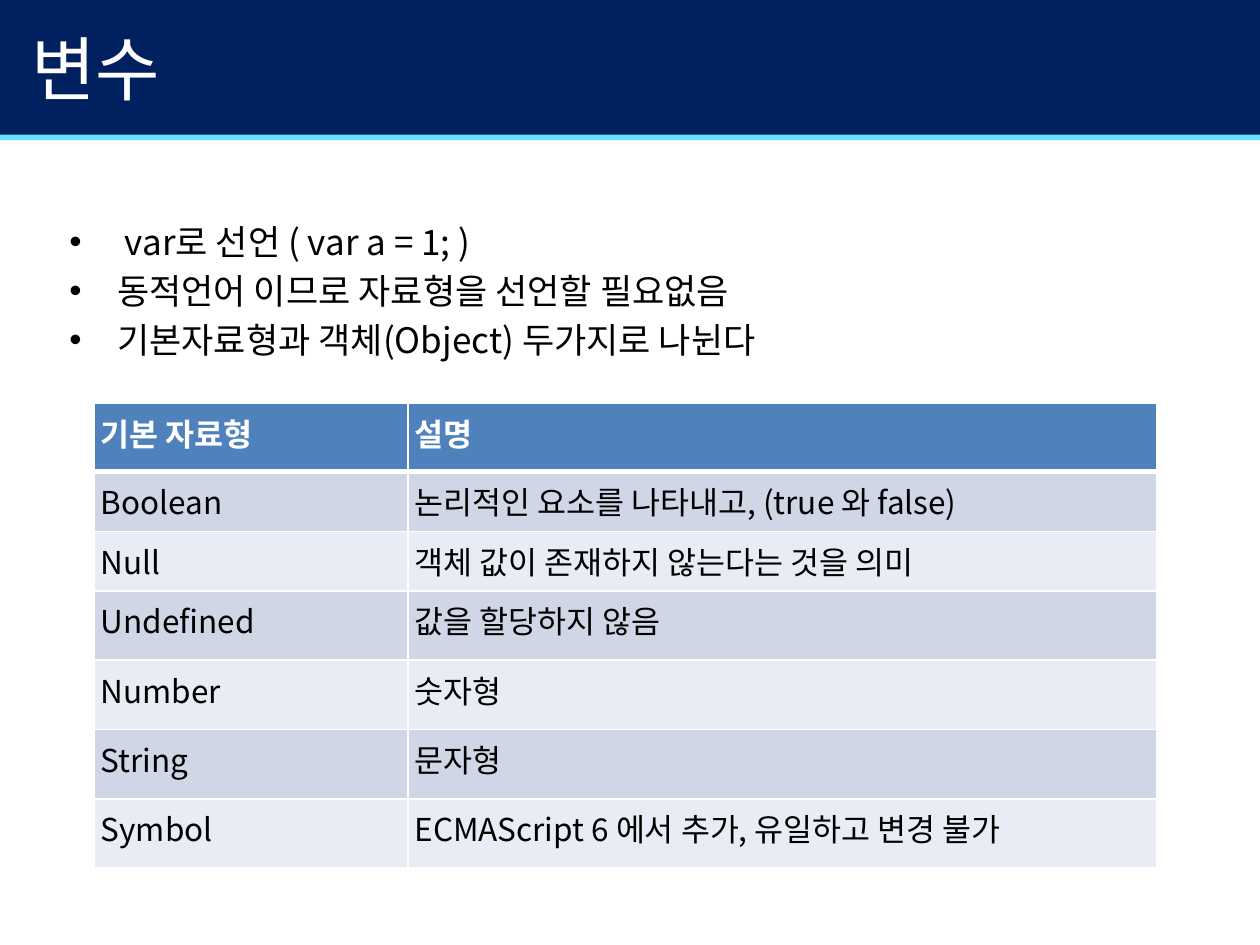
from lxml.etree import SubElement
from pptx import Presentation
from pptx.dml.color import RGBColor
from pptx.enum.shapes import MSO_SHAPE as Preset
from pptx.enum.text import MSO_ANCHOR as Anchor
from pptx.oxml.ns import qn
from pptx.util import Inches, Pt

WIDTH, HEIGHT = Inches(10), Inches(7.5)
FONT = "Noto Sans CJK KR"
INSET = Inches(0.05)
INDENT = Inches(0.38)

WHITE = RGBColor(0xFF, 0xFF, 0xFF)
BLACK = RGBColor(0, 0, 0)
NAVY = RGBColor(0x00, 0x20, 0x60)
CYAN = RGBColor(0x65, 0xE2, 0xFF)
HEADER_BLUE = RGBColor(0x4F, 0x81, 0xBD)
BANDS = RGBColor(0xCF, 0xD7, 0xE7), RGBColor(0xE8, 0xEC, 0xF4)

TITLE_FORMAT = {"size": Pt(40), "bold": False}
BULLET_FORMAT = {"size": Pt(20), "bold": False}
HEADER_FORMAT = {"size": Pt(18), "bold": True}
CELL_FORMAT = {"size": Pt(18), "bold": False}
FRAME_FORMAT = {
    "word_wrap": True,
    "margin_left": INSET,
    "margin_right": INSET,
    "margin_top": INSET,
    "margin_bottom": INSET,
}
CELL_MARGINS = {key: value for key, value in FRAME_FORMAT.items() if key != "word_wrap"}

BULLETS = [
    " var로 선언 ( var a = 1; )",
    "동적언어 이므로 자료형을 선언할 필요없음",
    "기본자료형과 객체(Object) 두가지로 나뉜다",
]
DATA_TYPES = [
    ("기본 자료형", "설명"),
    ("Boolean", "논리적인 요소를 나타내고, (true 와 false)"),
    ("Null", "객체 값이 존재하지 않는다는 것을 의미"),
    ("Undefined", "값을 할당하지 않음"),
    ("Number", "숫자형"),
    ("String", "문자형"),
    ("Symbol", "ECMAScript 6 에서 추가, 유일하고 변경 불가"),
]
COLUMN_WIDTHS = [2.49, 5.94]
ROW_HEIGHTS = [0.54, 0.48, 0.47] + [0.55] * 4


def apply_format(target, values):
    for name, value in values.items():
        setattr(target, name, value)


def write(paragraph, text, values, color):
    run = paragraph.add_run()
    run.text = text
    run.font.name = FONT
    apply_format(run.font, values)
    run.font.color.rgb = color
    SubElement(run.font._element, qn("a:ea"), typeface=FONT)


def add_band(slide, top, height, color):
    """Draw a full-width bar of the title area."""
    band = slide.shapes.add_shape(Preset.RECTANGLE, 0, Inches(top), WIDTH, Inches(height))
    band.shadow.inherit = False
    band.fill.solid()
    band.fill.fore_color.rgb = color
    band.line.fill.background()


def add_frame(slide, left, top, width, height):
    """Add an empty text box placed by shares of the slide's size."""
    box = slide.shapes.add_textbox(
        int(WIDTH * left), int(HEIGHT * top), int(WIDTH * width), int(HEIGHT * height))
    apply_format(box.text_frame, FRAME_FORMAT)
    return box.text_frame


def add_title(slide, text):
    frame = add_frame(slide, 0.02, -0.012, 0.9, 1 / 6)
    frame.vertical_anchor = Anchor.MIDDLE
    write(frame.paragraphs[0], text, TITLE_FORMAT, WHITE)


def add_bullets(slide, lines):
    frame = add_frame(slide, 0.05, 0.227, 0.9, 0.66)
    for index, line in enumerate(lines):
        paragraph = frame.add_paragraph() if index else frame.paragraphs[0]
        paragraph.space_before = Pt(4)
        properties = paragraph._p.get_or_add_pPr()
        properties.set("marL", str(INDENT))
        properties.set("indent", str(-INDENT))
        SubElement(properties, qn("a:buFont"), typeface="Arial")
        SubElement(properties, qn("a:buChar"), char="•")
        write(paragraph, line, BULLET_FORMAT, BLACK)


def set_borders(cell, widths):
    properties = cell._tc.get_or_add_tcPr()
    for side, width in zip("LRTB", widths):
        line = SubElement(properties, qn(f"a:ln{side}"), w=str(Pt(width)))
        fill = SubElement(line, qn("a:solidFill"))
        SubElement(fill, qn("a:srgbClr"), val=str(WHITE))


def fill_cell(cell, text, row):
    is_header = row == 0
    apply_format(cell, CELL_MARGINS)
    set_borders(cell, (1, 1, 3 if row == 1 else 1, 3 if is_header else 1))
    cell.fill.solid()
    cell.fill.fore_color.rgb = HEADER_BLUE if is_header else BANDS[(row - 1) % 2]
    write(cell.text_frame.paragraphs[0], text,
          HEADER_FORMAT if is_header else CELL_FORMAT, WHITE if is_header else BLACK)


def add_type_table(slide, rows):
    table = slide.shapes.add_table(
        len(rows), len(COLUMN_WIDTHS), Inches(0.75), Inches(3.2),
        Inches(sum(COLUMN_WIDTHS)), Inches(sum(ROW_HEIGHTS))).table
    for column, width in zip(table.columns, COLUMN_WIDTHS):
        column.width = Inches(width)
    for index, (row, height, texts) in enumerate(zip(table.rows, ROW_HEIGHTS, rows)):
        row.height = Inches(height)
        for cell, text in zip(row.cells, texts):
            fill_cell(cell, text, index)


def main():
    deck = Presentation()
    deck.slide_width, deck.slide_height = WIDTH, HEIGHT
    slide = deck.slides.add_slide(deck.slide_layouts[6])
    add_band(slide, 1.06, 0.05, CYAN)
    add_band(slide, 0, 1.07, NAVY)
    add_title(slide, "변수")
    add_bullets(slide, BULLETS)
    add_type_table(slide, DATA_TYPES)
    deck.save("out.pptx")


if __name__ == "__main__":
    main()
